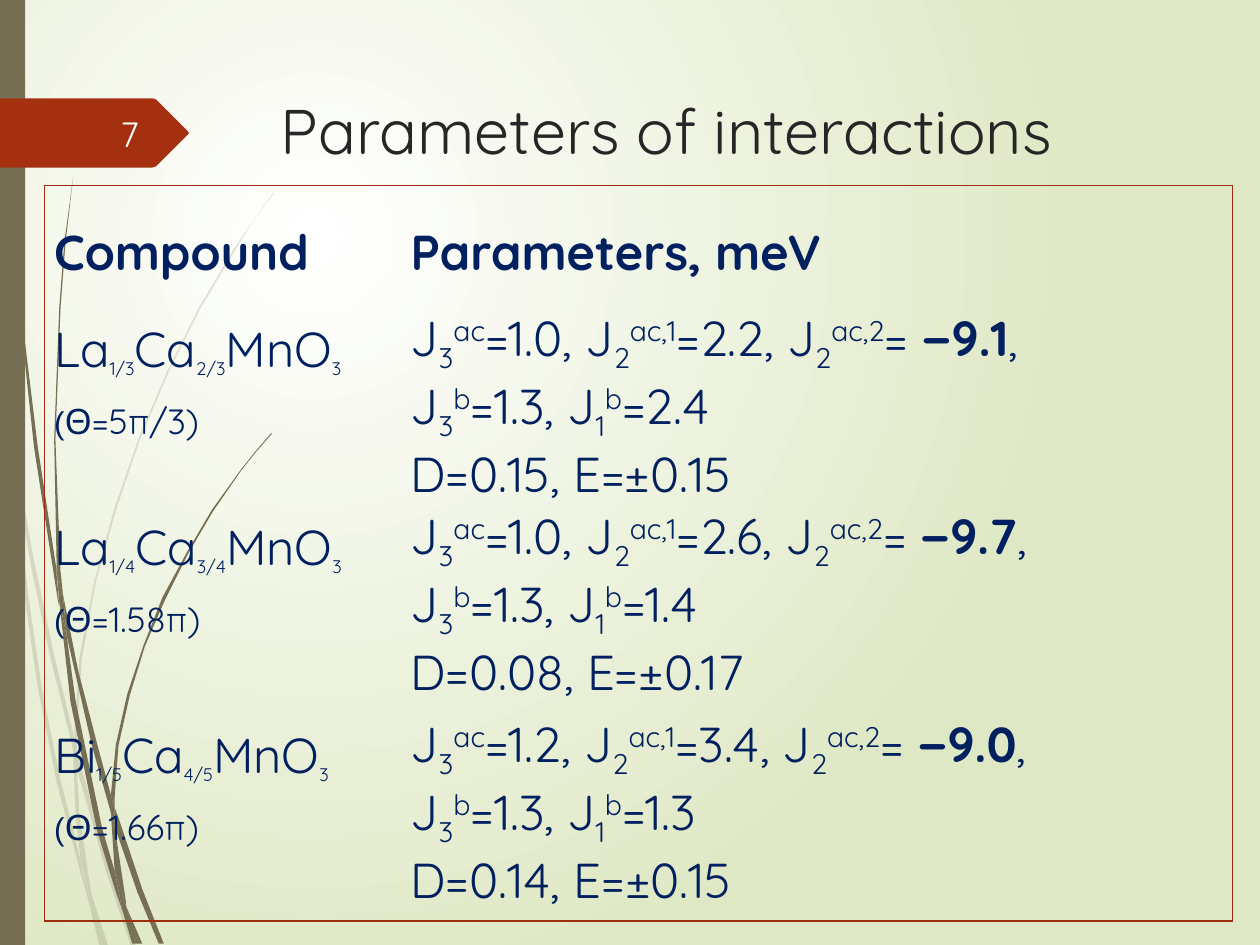
"""Build the slide that lists interaction parameters of three manganites."""
from lxml import etree
from pptx import Presentation
from pptx.dml.color import RGBColor
from pptx.enum.shapes import MSO_SHAPE
from pptx.enum.text import MSO_ANCHOR, PP_ALIGN
from pptx.oxml.ns import qn
from pptx.util import Inches, Pt

RECTANGLE = MSO_SHAPE.RECTANGLE
TOP, MIDDLE = MSO_ANCHOR.TOP, MSO_ANCHOR.MIDDLE
LEFT, RIGHT = PP_ALIGN.LEFT, PP_ALIGN.RIGHT

FONT = "Quicksand"
NAVY, OLIVE, RUST, BORDER = "002060", "766F54", "A53010", "9E2E0F"
SUB, SUPER = -25, 30

TITLE = "Parameters of interactions"
PAGE_NUMBER = "7"
HEADINGS = ("Compound", "Parameters, meV")
COMPOUNDS = [
    {"metal": "La", "x": "1/3", "y": "2/3", "angle": "5π/3", "J3ac": "1.0", "J2ac1": "2.2",
     "J2ac2": "−9.1", "J3b": "1.3", "J1b": "2.4", "D": "0.15", "E": "±0.15"},
    {"metal": "La", "x": "1/4", "y": "3/4", "angle": "1.58π", "J3ac": "1.0", "J2ac1": "2.6",
     "J2ac2": "−9.7", "J3b": "1.3", "J1b": "1.4", "D": "0.08", "E": "±0.17"},
    {"metal": "Bi", "x": "1/5", "y": "4/5", "angle": "1.66π", "J3ac": "1.2", "J2ac1": "3.4",
     "J2ac2": "−9.0", "J3b": "1.3", "J1b": "1.3", "D": "0.14", "E": "±0.15"},
]
COLUMN_WIDTHS = (2.83, 6.6)
ROW_HEIGHTS = (0.97, 1.57, 1.65, 1.65)

PALE_GRASS = [
    [(0.08, 3.5), (0.06, 3.22), (0, 2.82), (0, 2.99), (0.07, 3.44)],
    [(0.4, 5.22), (0.59, 5.99), (0.59, 5.86), (0.43, 5.2), (0.25, 4.35), (0.1, 3.45),
     (0.12, 3.76), (0.25, 4.52)],
    [(0.64, 6.07), (0.61, 5.96), (0.61, 6.1), (0.85, 6.94), (1.04, 7.51), (1.08, 7.51),
     (0.88, 6.92)],
    [(0.83, 7.51), (0.86, 7.51), (0.73, 7.11)],
    [(0.64, 6.83), (0.48, 6.19), (0.33, 5.45), (0.22, 4.69), (0.12, 3.76), (0.08, 3.5),
     (0.19, 4.7), (0.3, 5.46), (0.45, 6.21), (0.64, 6.93), (0.7, 7.14), (0.69, 7.07)],
    [(0.58, 5.99), (0.6, 6.46), (0.64, 6.83), (0.67, 6.92), (0.73, 7.11), (0.72, 7.06),
     (0.63, 6.46), (0.61, 6.1), (0.61, 6.08)],
    [(0.61, 5.84), (0.65, 5.22), (0.76, 4.62), (0.92, 4.05), (1.11, 3.49), (1.34, 2.95),
     (1.59, 2.45), (1.87, 1.98), (2.01, 1.75), (2.17, 1.54), (2.17, 1.53), (2.01, 1.75),
     (1.86, 1.97), (1.58, 2.44), (1.33, 2.94), (1.1, 3.48), (0.91, 4.03), (0.75, 4.61),
     (0.63, 5.22), (0.59, 5.84), (0.59, 5.86), (0.61, 5.96)],
    [(0.7, 7.14), (0.79, 7.51), (0.82, 7.51)],
    [(0.61, 6.08), (0.61, 6.1), (0.61, 5.96), (0.59, 5.86), (0.58, 5.99)],
    [(0.67, 6.92), (0.65, 6.83), (0.69, 7.07), (0.7, 7.14), (0.82, 7.51), (0.83, 7.51),
     (0.73, 7.11)],
]
DARK_GRASS = [
    [(0.05, 1.1), (0.14, 2.33), (0.27, 3.55), (0.46, 4.77), (0.47, 4.81), (0.45, 4.57),
     (0.45, 4.53), (0.3, 3.55), (0.15, 2.32), (0.06, 1.09), (0.04, 0.48), (0.03, 0),
     (0.02, 0), (0.03, 0.48)],
    [(0.73, 5.92), (0.88, 6.45), (0.88, 6.33), (0.88, 6.31), (0.77, 5.9), (0.62, 5.32),
     (0.5, 4.72), (0.53, 5.05)],
    [(0.94, 6.49), (0.91, 6.41), (0.91, 6.56), (1.09, 7.08), (1.26, 7.49), (1.3, 7.49),
     (1.13, 7.06)],
    [(0.91, 6.91), (0.81, 6.57), (0.6, 5.56), (0.53, 5.05), (0.47, 4.77), (0.56, 5.57),
     (0.77, 6.59), (0.92, 7.08), (0.97, 7.22), (0.96, 7.17)],
    [(0.5, 4.72), (0.48, 4.53), (0.44, 3.49), (0.48, 2.45), (0.52, 1.93), (0.58, 1.41),
     (0.51, 1.93), (0.47, 2.45), (0.43, 3.49), (0.45, 4.49), (0.49, 4.72)],
    [(1.1, 7.49), (1.13, 7.49), (1, 7.19)],
    [(0.47, 4.77), (0.53, 5.05), (0.5, 4.72), (0.49, 4.72), (0.45, 4.49), (0.45, 4.53)],
    [(0.91, 6.33), (0.94, 5.92), (1.03, 5.52), (1.15, 5.13), (1.31, 4.76), (1.49, 4.4),
     (1.69, 4.06), (1.91, 3.74), (2.03, 3.59), (2.16, 3.44), (2.15, 3.44), (2.03, 3.58),
     (1.91, 3.73), (1.68, 4.05), (1.48, 4.39), (1.29, 4.74), (1.14, 5.12), (1.01, 5.51),
     (0.92, 5.91), (0.88, 6.31), (0.91, 6.41)],
    [(0.97, 7.22), (1.05, 7.49), (1.08, 7.49)],
    [(0.88, 6.45), (0.91, 6.91), (0.96, 7.06), (1, 7.19), (1, 7.16), (0.91, 6.56),
     (0.9, 6.51)],
    [(0.88, 6.45), (0.9, 6.51), (0.91, 6.56), (0.91, 6.41), (0.88, 6.31), (0.88, 6.33)],
    [(0.96, 7.06), (0.91, 6.91), (0.96, 7.17), (0.97, 7.22), (1.08, 7.49), (1.1, 7.49),
     (1, 7.19)],
]
PAGE_ARROW = [(1.49, 1.07), (1.24, 1.32), (1.21, 1.33), (0, 1.33), (0, 0.78), (1.21, 0.78),
              (1.24, 0.79), (1.49, 1.04), (1.5, 1.06)]


def rgb(hex_code):
    return RGBColor.from_string(hex_code)


def paint(shape, color, opacity=100):
    shape.shadow.inherit = False
    shape.fill.solid()
    shape.fill.fore_color.rgb = rgb(color)
    shape.line.fill.background()
    if opacity < 100:
        tint = shape.element.spPr.find(f"{qn('a:solidFill')}/{qn('a:srgbClr')}")
        etree.SubElement(tint, qn("a:alpha"), val=str(opacity * 1000))


def add_outline(slide, points, color, opacity=100):
    start, *others = [(Inches(x), Inches(y)) for x, y in points]
    builder = slide.shapes.build_freeform(*start)
    builder.add_line_segments(others)
    paint(builder.convert_to_shape(), color, opacity)


def style(run, size, color=NAVY, bold=False, font=FONT, baseline=0):
    run.font.name, run.font.size, run.font.bold = font, Pt(size), bold
    run.font.color.rgb = rgb(color)
    if baseline:
        run.font._element.set("baseline", str(baseline * 1000))


def add_run(paragraph, text, size=28, **look):
    run = paragraph.add_run()
    run.text = text
    style(run, size, **look)


def space_out(paragraph):
    paragraph.line_spacing, paragraph.space_after = 1.19, Pt(6)


def add_coupling(paragraph, index, direction, value, bold=False):
    add_run(paragraph, "J")
    add_run(paragraph, index, baseline=SUB)
    add_run(paragraph, direction, baseline=SUPER)
    add_run(paragraph, "= " if bold else "=")
    add_run(paragraph, value, bold=bold)


def write_compound(frame, row):
    formula, angle = frame.paragraphs[0], frame.add_paragraph()
    for element, share in ((row["metal"], row["x"]), ("Ca", row["y"]), ("MnO", "3")):
        add_run(formula, element)
        add_run(formula, share, size=18, baseline=SUB)
    add_run(angle, "(", size=18, font="Arial")
    add_run(angle, f"Θ={row['angle']})", size=20)
    space_out(formula)
    space_out(angle)


def write_parameters(frame, row):
    couplings = frame.paragraphs[0]
    add_coupling(couplings, "3", "ac", row["J3ac"])
    add_run(couplings, ", ")
    add_coupling(couplings, "2", "ac,1", row["J2ac1"])
    add_run(couplings, ", ")
    add_coupling(couplings, "2", "ac,2", row["J2ac2"], bold=True)
    add_run(couplings, ",")
    couplings.add_line_break()
    add_coupling(couplings, "3", "b", row["J3b"])
    add_run(couplings, ", ")
    add_coupling(couplings, "1", "b", row["J1b"])
    add_run(frame.add_paragraph(), f"D={row['D']}, E={row['E']}")


def format_cell(cell, outer_sides):
    cell.margin_left = cell.margin_right = Inches(0.08)
    cell.margin_top = cell.margin_bottom = 0
    cell.fill.background()
    properties = cell._tc.get_or_add_tcPr()
    for position, side in enumerate("LRTB"):
        edge = etree.Element(qn(f"a:ln{side}"), w=str(Pt(0.75)))
        if side in outer_sides:
            fill = etree.SubElement(edge, qn("a:solidFill"))
            etree.SubElement(fill, qn("a:srgbClr"), val=BORDER)
        else:
            etree.SubElement(edge, qn("a:noFill"))
        properties.insert(position, edge)


def add_parameter_table(slide):
    rows, columns = len(ROW_HEIGHTS), len(COLUMN_WIDTHS)
    table = slide.shapes.add_table(rows, columns, Inches(0.35), Inches(1.47),
                                   Inches(sum(COLUMN_WIDTHS)), Inches(sum(ROW_HEIGHTS))).table
    table.first_row = table.horz_banding = False
    for column, width in zip(table.columns, COLUMN_WIDTHS):
        column.width = Inches(width)
    for r, height in enumerate(ROW_HEIGHTS):
        table.rows[r].height = Inches(height)
        for c, heading in enumerate(HEADINGS):
            cell = table.cell(r, c)
            format_cell(cell, "LR"[c] + {0: "T", rows - 1: "B"}.get(r, ""))
            if r:
                (write_compound, write_parameters)[c](cell.text_frame, COMPOUNDS[r - 1])
            else:
                cell.vertical_anchor = MIDDLE
                add_run(cell.text_frame.paragraphs[0], heading, bold=True)
                space_out(cell.text_frame.paragraphs[0])


def write_line(shape, box, text, size, color, anchor, alignment):
    shape.left, shape.top, shape.width, shape.height = map(Inches, box)
    frame = shape.text_frame
    frame.text, frame.word_wrap, frame.vertical_anchor = text, True, anchor
    frame.paragraphs[0].alignment = alignment
    style(frame.paragraphs[0].runs[0], size, color)


def set_background(slide):
    fill = slide.background.fill
    fill.gradient()
    for stop, color in zip(fill.gradient_stops, ("FFFFFF", "DFE8C4")):
        stop.color.rgb = rgb(color)
    gradient = slide.element.find(f".//{qn('a:gradFill')}")
    gradient.remove(gradient.find(qn("a:lin")))
    glow = etree.SubElement(gradient, qn("a:path"))
    glow.set("path", "circle")
    etree.SubElement(glow, qn("a:fillToRect"), l="50000", t="50000", r="100000", b="100000")


def main():
    deck = Presentation()
    deck.slide_width, deck.slide_height = Inches(10), Inches(7.5)
    slide = deck.slides.add_slide(deck.slide_layouts[5])
    set_background(slide)
    for blades, opacity in ((PALE_GRASS, 20), (DARK_GRASS, 100)):
        for blade in blades:
            add_outline(slide, blade, OLIVE, opacity)
    paint(slide.shapes.add_shape(RECTANGLE, 0, 0, Inches(0.2), Inches(7.5)), OLIVE)
    add_outline(slide, PAGE_ARROW, RUST)
    write_line(slide.shapes.title, (2.13, 0.68, 7.21, 1.4), TITLE, 36, "262626", TOP, LEFT)
    number = slide.shapes.add_textbox(0, 0, 0, 0)
    write_line(number, (0.56, 0.86, 0.64, 0.4), PAGE_NUMBER, 20, "FEFFFF", MIDDLE, RIGHT)
    add_parameter_table(slide)
    deck.save("out.pptx")


if __name__ == "__main__":
    main()
